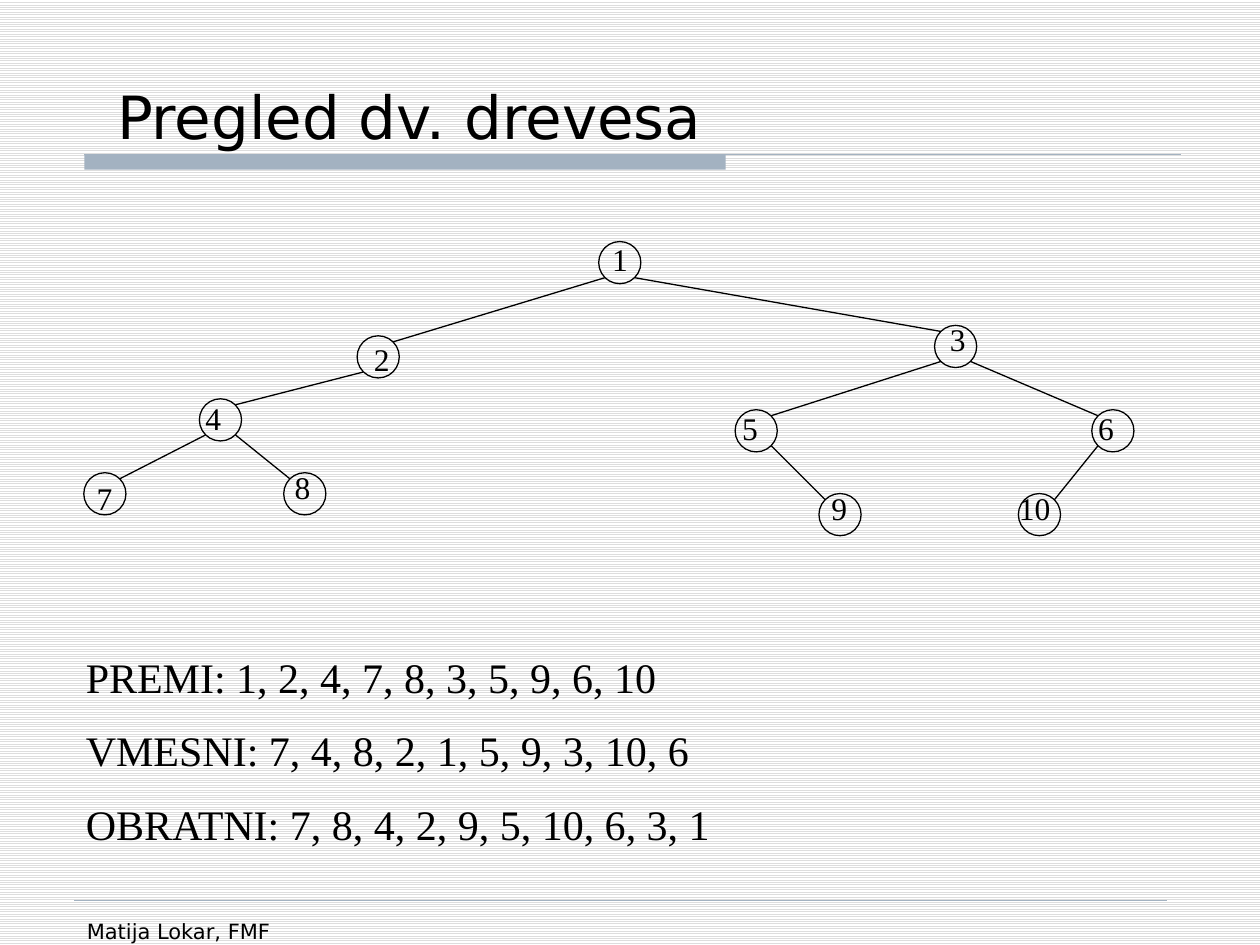
from lxml import etree
from pptx import Presentation
from pptx import util as u
from pptx.dml.color import RGBColor
from pptx.enum import dml, shapes, text
from pptx.oxml.ns import qn

COLORS = {"ink": "000000", "bar": "A3B2C1", "stripe": "DDDDDD", "paper": "FFFFFF"}
SANS, SERIF = "DejaVu Sans", "Times New Roman"
SIZE = 0.85  # node diameter in cm
EDGE = 0.12  # inset of a 45-degree point on the node's rim

# label: node left, top; label box left, top (cm)
NODES = {
    1: (12.07, 4.87, 12.09, 4.72),
    2: (7.2, 6.77, 7.29, 6.73),
    3: (18.84, 6.56, 18.9, 6.32),
    4: (4.02, 8.04, 3.89, 7.92),
    5: (14.82, 8.26, 14.71, 8.13),
    6: (22.01, 8.26, 21.89, 8.13),
    7: (1.69, 9.53, 1.7, 9.53),
    8: (5.72, 9.53, 5.69, 9.32),
    9: (16.51, 9.95, 16.51, 9.73),
    10: (20.53, 9.95, 20.29, 9.73),
}
KIDS = {1: (2, 3), 2: (4,), 3: (5, 6), 4: (7, 8), 5: (9,), 6: (10,)}
ORDERS = (
    "PREMI: 1, 2, 4, 7, 8, 3, 5, 9, 6, 10",
    "VMESNI: 7, 4, 8, 2, 1, 5, 9, 3, 10, 6",
    "OBRATNI: 7, 8, 4, 2, 9, 5, 10, 6, 3, 1",
)


def color(name):
    """Look up a palette colour."""
    return RGBColor.from_string(COLORS[name])


def paint(slide):
    """Fill the background with thin stripes."""
    fill = slide.background.fill
    fill.patterned()
    fill.pattern = dml.MSO_PATTERN.LIGHT_HORIZONTAL
    fill.fore_color.rgb = color("stripe")
    fill.back_color.rgb = color("paper")


def line(home, start, end, tint="ink", width=0.75):
    """Draw a straight line between two points."""
    ends = [u.Cm(n) for n in (*start, *end)]
    rule = home.add_connector(shapes.MSO_CONNECTOR.STRAIGHT, *ends)
    rule.line.color.rgb = color(tint)
    rule.line.width = u.Pt(width)
    etree.SubElement(rule._element.spPr, qn("a:effectLst"))


def write(home, box, lines, size, font, gap=0, anchor=text.MSO_ANCHOR.TOP):
    """Write one paragraph per line, with a gap between them."""
    frame = home.add_textbox(*[u.Cm(n) for n in box]).text_frame
    frame.word_wrap = True
    frame.vertical_anchor = anchor
    for i, words in enumerate(lines):
        para = frame.add_paragraph() if i else frame.paragraphs[0]
        para.space_before = u.Pt(gap if i else 0)
        run = para.add_run()
        run.text = words
        run.font.size = u.Pt(size)
        run.font.name = font
        run.font.color.rgb = color("ink")


def ring(home, left, top):
    """Draw an empty tree node."""
    node = home.add_shape(shapes.MSO_SHAPE.OVAL, u.Cm(left), u.Cm(top),
                          u.Cm(SIZE), u.Cm(SIZE))
    node.shadow.inherit = False
    node.fill.background()
    node.line.color.rgb = color("ink")
    node.line.width = u.Pt(0.75)


def rim(key, right, low):
    """Give the point on a node's rim at one diagonal."""
    left, top = NODES[key][:2]
    far = SIZE - EDGE
    return left + (far if right else EDGE), top + (far if low else EDGE)


def tree(slide):
    """Draw nodes and edges as a group, then the labels."""
    group = slide.shapes.add_group_shape().shapes
    for left, top, _, _ in NODES.values():
        ring(group, left, top)
    for top, kids in KIDS.items():
        for kid in kids:
            right = NODES[kid][0] > NODES[top][0]
            line(group, rim(top, right, True), rim(kid, not right, False))
    for key, (_, _, left, top) in NODES.items():
        write(slide.shapes, (left, top, 1.32, 1.02), [str(key)], 18, SERIF)


def frame(slide):
    """Draw the title bar, its rule and the footer rule."""
    bar = slide.shapes.add_shape(shapes.MSO_SHAPE.RECTANGLE, u.Cm(1.7), u.Cm(3.12),
                                 u.Cm(12.93), u.Cm(0.3))
    bar.shadow.inherit = False
    bar.fill.solid()
    bar.fill.fore_color.rgb = color("bar")
    bar.line.fill.background()
    line(slide.shapes, (1.7, 3.12), (23.8, 3.12), "bar")
    line(slide.shapes, (1.5, 18.14), (23.52, 18.14), "bar", 0.25)


def main():
    """Build the slide and save it."""
    deck = Presentation()
    deck.slide_width, deck.slide_height = u.Cm(25.4), u.Cm(19.05)
    slide = deck.slides.add_slide(deck.slide_layouts[6])
    paint(slide)
    frame(slide)
    write(slide.shapes, (1.5, 18.39, 5.51, 1.32), ["Matija Lokar, FMF"], 12, SANS)
    write(slide.shapes, (2.11, 0, 21.59, 3.17), ["Pregled dv. drevesa"], 34, SANS,
          anchor=text.MSO_ANCHOR.BOTTOM)
    tree(slide)
    write(slide.shapes, (1.48, 13, 22.86, 4.2), ORDERS, 24, SERIF, gap=13.2)
    deck.save("out.pptx")


main()
